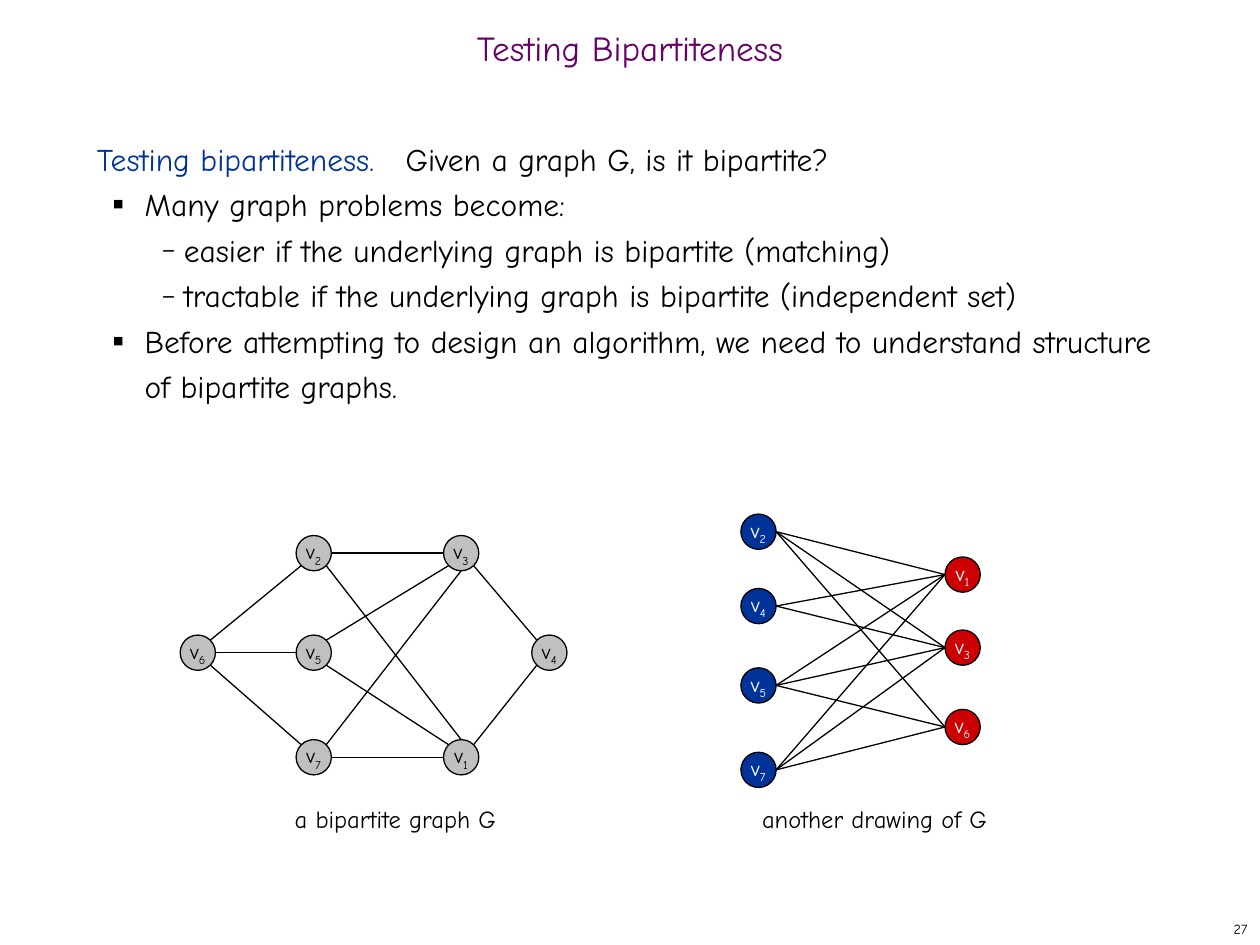
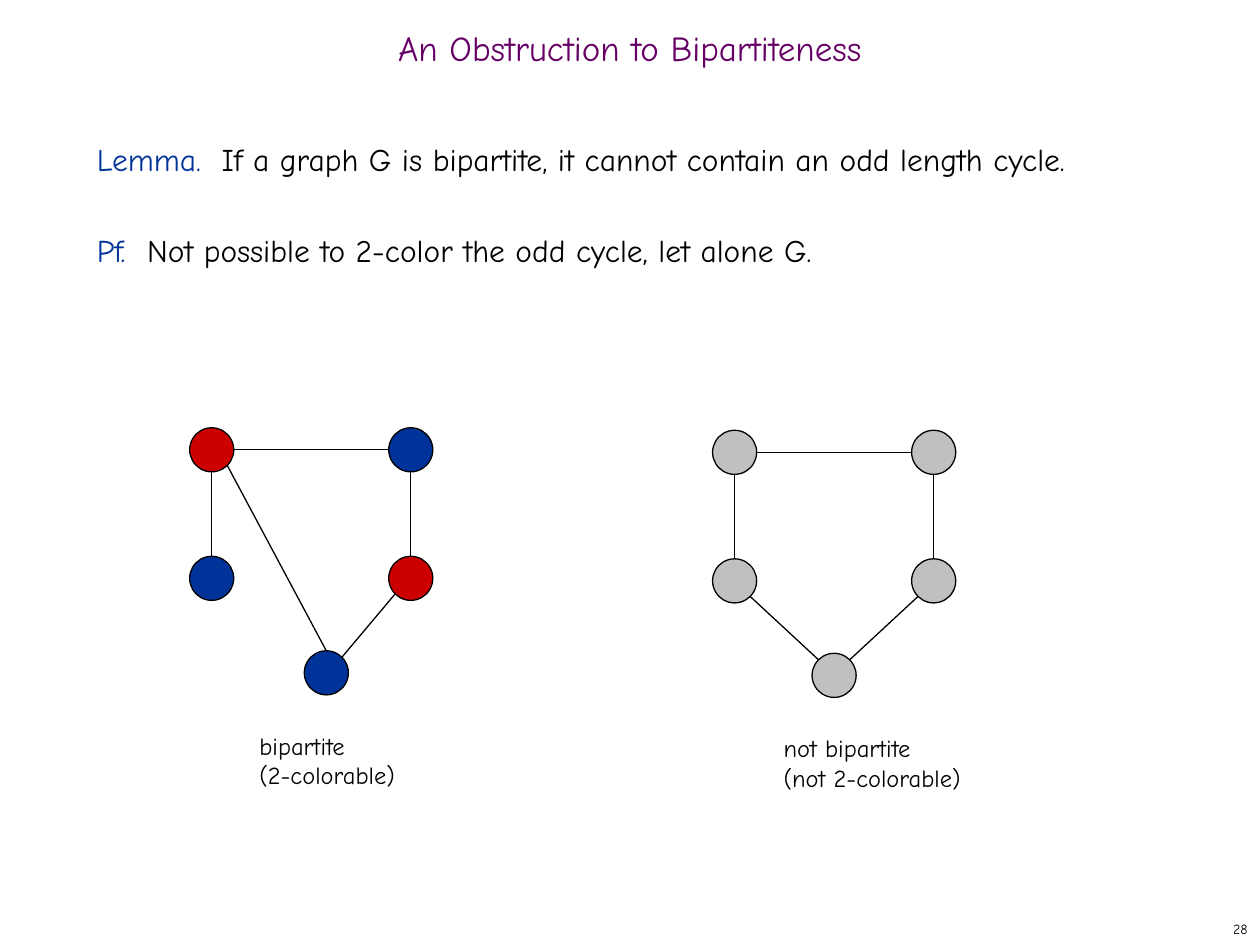
"""Build two slides on testing graphs for bipartiteness."""
from lxml import etree
from pptx import Presentation
from pptx.dml.color import RGBColor
from pptx.enum.shapes import MSO_CONNECTOR, MSO_SHAPE
from pptx.enum.text import MSO_ANCHOR, MSO_AUTO_SIZE, PP_ALIGN
from pptx.oxml.ns import qn
from pptx.util import Inches, Pt

OVAL = MSO_SHAPE.OVAL
LINE = MSO_CONNECTOR.STRAIGHT
MIDDLE, TOP = MSO_ANCHOR.MIDDLE, MSO_ANCHOR.TOP
LEFT, CENTER, RIGHT = PP_ALIGN.LEFT, PP_ALIGN.CENTER, PP_ALIGN.RIGHT
FIT = MSO_AUTO_SIZE.SHAPE_TO_FIT_TEXT

FONT = "Comic Neue"
BLACK, WHITE, GRAY = "000000", "FFFFFF", "C0C0C0"
BLUE, RED, PURPLE = "003399", "CC0000", "660066"

DIAG = 0.5 ** 0.5
SITES = {
    "n": (0, -1), "s": (0, 1), "e": (1, 0), "w": (-1, 0),
    "ne": (DIAG, -DIAG), "nw": (-DIAG, -DIAG),
    "se": (DIAG, DIAG), "sw": (-DIAG, DIAG),
}
BULLETS = {1: ("■", 35, 0.38, -0.25), 2: ("–", 80, 0.69, -0.18)}


def color(code):
    return RGBColor.from_string(code)


class Deck:
    def __init__(self):
        self.prs = Presentation()
        self.prs.slide_width, self.prs.slide_height = Inches(10), Inches(7.5)
        self.slide = None

    def start(self, title, number):
        self.slide = self.prs.slides.add_slide(self.prs.slide_layouts[5])
        head = self.slide.shapes.title
        head.left, head.top = Inches(0), Inches(0.17)
        head.width, head.height = Inches(10), Inches(0.5)
        head.text_frame.vertical_anchor = MIDDLE
        par = head.text_frame.paragraphs[0]
        par.alignment, par.line_spacing = CENTER, 0.7
        self.run(par, title, 20, PURPLE)
        foot = self.box(7.92, 7.25, 2.08, 0.25, MIDDLE).paragraphs[0]
        foot.alignment = RIGHT
        self.run(foot, str(number), 8)

    def run(self, par, text, size, code=BLACK):
        run = par.add_run()
        run.text = text
        run.font.name, run.font.size = FONT, Pt(size)
        run.font.color.rgb = color(code)
        return run

    def box(self, x, y, w, h, anchor=TOP):
        frame = self.slide.shapes.add_textbox(
            Inches(x), Inches(y), Inches(w), Inches(h)).text_frame
        frame.word_wrap, frame.vertical_anchor = True, anchor
        return frame

    def caption(self, x, y, w, *lines):
        frame = self.box(x, y, w, 0.09 + 0.24 * len(lines))
        frame.word_wrap, frame.auto_size = False, FIT
        par = frame.paragraphs[0]
        par.alignment = LEFT
        for i, line in enumerate(lines):
            if i:
                par.add_line_break()
            self.run(par, line, 14)

    def body(self, *items):
        frame = self.box(0.67, 1, 8.58, 5.92)
        for i, (kind, *args) in enumerate(items):
            par = frame.add_paragraph() if i else frame.paragraphs[0]
            par.line_spacing = Pt(26)
            kind(par, *args)

    def lead(self, par, term, text, stop, gap=0):
        par.space_before = Pt(gap)
        tabs = etree.SubElement(par._p.get_or_add_pPr(), qn("a:tabLst"))
        etree.SubElement(tabs, qn("a:tab"), pos=str(Inches(stop)), algn="l")
        self.run(par, term + "\t", 18, BLUE)
        self.run(par, text, 18)

    def bullet(self, par, level, text):
        mark, size, left, hang = BULLETS[level]
        par.level = level
        props = par._p.get_or_add_pPr()
        props.set("marL", str(Inches(left)))
        props.set("indent", str(Inches(hang)))
        tint = etree.SubElement(props, qn("a:buClr"))
        etree.SubElement(tint, qn("a:srgbClr"), val=BLACK)
        etree.SubElement(props, qn("a:buSzPct"), val=str(size * 1000))
        etree.SubElement(props, qn("a:buFont"), typeface=FONT)
        etree.SubElement(props, qn("a:buChar"), char=mark)
        self.run(par, text, 18)

    def node(self, x, y, size, fill, label=""):
        oval = self.slide.shapes.add_shape(
            OVAL, Inches(x - size / 2), Inches(y - size / 2),
            Inches(size), Inches(size))
        oval.shadow.inherit = False
        oval.fill.solid()
        oval.fill.fore_color.rgb = color(fill)
        oval.line.color.rgb, oval.line.width = color(BLACK), Pt(0.75)
        if label:
            frame = oval.text_frame
            frame.word_wrap, frame.vertical_anchor = False, MIDDLE
            par = frame.paragraphs[0]
            par.alignment = CENTER
            ink = BLACK if fill == GRAY else WHITE
            self.run(par, "v", 12, ink)
            sub = self.run(par, label, 12, ink)
            sub._r.get_or_add_rPr().set("baseline", "-25000")

    def edge(self, start, end):
        line = self.slide.shapes.add_connector(
            LINE, *(Inches(v) for v in (*start, *end)))
        line.line.color.rgb, line.line.width = color(BLACK), Pt(0.75)
        etree.SubElement(line._element.spPr, qn("a:effectLst"))

    def graph(self, nodes, edges, size, named=True):
        def port(end):
            name, site = end.split(".")
            x, y, _ = nodes[name]
            dx, dy = SITES[site]
            return x + dx * size / 2, y + dy * size / 2

        for name, (x, y, fill) in nodes.items():
            self.node(x, y, size, fill, name if named else "")
        for pair in edges:
            start, end = pair.split("-")
            self.edge(port(start), port(end))


def testing(deck):
    deck.start("Testing Bipartiteness", 27)
    deck.body(
        (deck.lead, "Testing bipartiteness.",
         "Given a graph G, is it bipartite?", 2.45),
        (deck.bullet, 1, "Many graph problems become:"),
        (deck.bullet, 2,
         "easier if the underlying graph is bipartite (matching)"),
        (deck.bullet, 2,
         "tractable if the underlying graph is bipartite (independent set)"),
        (deck.bullet, 1, "Before attempting to design an algorithm, we need "
         "to understand structure of bipartite graphs."),
    )
    spots = {"1": (3.66, 6.01), "2": (2.49, 4.39), "3": (3.66, 4.39),
             "6": (1.57, 5.18), "5": (2.49, 5.18), "4": (4.36, 5.18),
             "7": (2.49, 6.01)}
    mixed = {name: (*spot, GRAY) for name, spot in spots.items()}
    deck.graph(mixed, (
        "2.sw-6.ne", "2.e-3.w", "3.se-4.nw", "1.ne-4.sw", "1.nw-5.se",
        "1.w-7.e", "6.se-7.nw", "5.w-6.e", "3.sw-5.ne", "3.s-7.ne",
        "1.n-2.se"), 0.28)
    blues = {"2": 4.22, "4": 4.81, "5": 5.44, "7": 6.11}
    reds = {"1": 4.56, "3": 5.14, "6": 5.77}
    sides = {name: (6.02, y, BLUE) for name, y in blues.items()}
    sides.update({name: (7.64, y, RED) for name, y in reds.items()})
    links = [f"{a}.e-{b}.w" for a in blues for b in reds if a + b != "46"]
    deck.graph(sides, links, 0.28)
    deck.caption(2.24, 6.33, 1.81, "a bipartite graph G")
    deck.caption(5.95, 6.33, 2, "another drawing of G")


def house(deck, x, y, foot, fills, last):
    right, low = x + 1.58, y + 1.02
    spots = {"a": (x, y), "b": (right, y), "c": (x, low),
             "d": (right, low), "e": (foot, y + 1.77)}
    nodes = {name: (*spot, fill)
             for (name, spot), fill in zip(spots.items(), fills)}
    deck.graph(nodes, ("a.e-b.w", "d.n-b.s", "c.n-a.s", "e.ne-d.sw", last),
               0.35, False)


def obstacle(deck):
    deck.start("An Obstruction to Bipartiteness", 28)
    deck.body(
        (deck.lead, "Lemma.", "If a graph G is bipartite, it cannot contain "
         "an odd length cycle.", 0.99),
        (deck.lead, "Pf.", "Not possible to 2-color the odd cycle, "
         "let alone G.", 0.4, 26),
    )
    house(deck, 1.68, 3.57, 2.59, (RED, BLUE, BLUE, RED, BLUE), "e.n-a.se")
    house(deck, 5.83, 3.59, 6.62, [GRAY] * 5, "e.nw-c.se")
    deck.caption(1.96, 5.75, 1.28, "bipartite", "(2-colorable)")
    deck.caption(6.12, 5.77, 1.62, "not bipartite", "(not 2-colorable)")


def main():
    deck = Deck()
    testing(deck)
    obstacle(deck)
    deck.prs.save("out.pptx")


if __name__ == "__main__":
    main()
